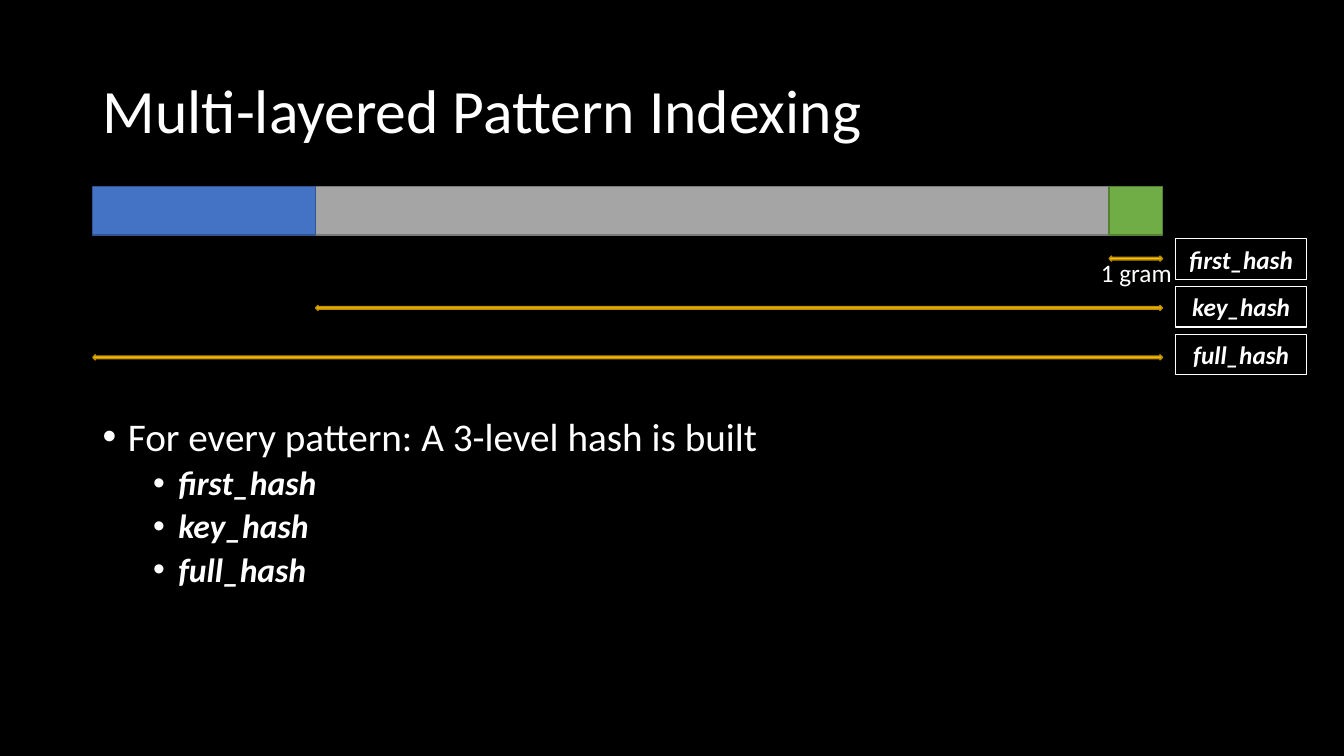
from dataclasses import dataclass

from lxml import etree
from pptx import Presentation
from pptx.dml.color import RGBColor
from pptx.enum.shapes import MSO_SHAPE
from pptx.enum.text import MSO_ANCHOR, PP_ALIGN
from pptx.oxml.ns import qn
from pptx.util import Emu, Pt

RECTANGLE = MSO_SHAPE.RECTANGLE
DOUBLE_ARROW = MSO_SHAPE.LEFT_RIGHT_ARROW
CENTER = PP_ALIGN.CENTER
MIDDLE = MSO_ANCHOR.MIDDLE

PX = 9144  # EMU per px, 100 px to the inch
FONT = "Calibri"
COLORS = {
    "background": "000000", "text": "FFFFFF",
    "gray": "A5A5A5", "gray_edge": "7A7A7A",
    "green": "70AD47", "green_edge": "538035",
    "blue": "4472C4", "blue_edge": "325491",
    "gold": "FFC000", "gold_edge": "BD8E00",
}

MARGIN, CONTENT_WIDTH = 92, 1150
BAR_TOP, BAR_HEIGHT, BAR_RIGHT = 185, 48, 1153
ARROW_TOP, ARROW_STEP, ARROW_HEIGHT = 254, 49, 5
LABEL_LEFT, LABEL_TOP, LABEL_STEP = 1166, 237, 47.5
LABEL_WIDTH, LABEL_HEIGHT = 130, 40


@dataclass(frozen=True)
class Segment:
    left: int
    right: int
    color: str


@dataclass(frozen=True)
class HashSpan:
    name: str
    left: int


@dataclass(frozen=True)
class Bullet:
    text: str
    level: int = 1
    size: int = 24
    space_before: int = 5
    emphasis: bool = True


SEGMENTS = [
    Segment(239, 1100, "gray"),
    Segment(1100, BAR_RIGHT, "green"),
    Segment(MARGIN, 313, "blue"),
]
HASHES = [
    HashSpan("first_hash", 1100),
    HashSpan("key_hash", 313),
    HashSpan("full_hash", MARGIN),
]
BULLETS = [
    Bullet("For every pattern: A 3-level hash is built", 0, 28, 0, False),
    *(Bullet(span.name) for span in HASHES),
]


def px(length: float) -> Emu:
    return Emu(round(length * PX))


def rgb(name: str) -> RGBColor:
    return RGBColor.from_string(COLORS[name])


def style_text(paragraph, size: int, emphasis: bool = False) -> None:
    font = paragraph.font
    font.name, font.size = FONT, Pt(size)
    font.bold = font.italic = emphasis
    font.color.rgb = rgb("text")


def add_box(page, left: float, top: float, width: float, height: float,
            wrap: bool = True):
    """Add a text box and return its text frame."""
    box = page.shapes.add_textbox(px(left), px(top), px(width), px(height))
    box.text_frame.word_wrap = wrap
    return box.text_frame


def add_shape(page, kind, left: float, top: float, width: float, height: float,
              fill: str | None, edge: str, edge_width: float = 1):
    shape = page.shapes.add_shape(kind, px(left), px(top), px(width), px(height))
    shape.shadow.inherit = False
    if fill:
        shape.fill.solid()
        shape.fill.fore_color.rgb = rgb(fill)
    else:
        shape.fill.background()
    shape.line.color.rgb = rgb(edge)
    shape.line.width = Pt(edge_width)
    return shape


def add_title(page) -> None:
    frame = add_box(page, MARGIN, 40, CONTENT_WIDTH, 145)
    frame.vertical_anchor = MIDDLE
    para = frame.paragraphs[0]
    para.text = "Multi-layered Pattern Indexing"
    para.line_spacing = 0.9
    style_text(para, 44)


def add_bullets(page) -> None:
    frame = add_box(page, MARGIN, 409, CONTENT_WIDTH, 266)
    for index, bullet in enumerate(BULLETS):
        para = frame.add_paragraph() if index else frame.paragraphs[0]
        para.text = bullet.text
        para.level = bullet.level
        para.line_spacing = 0.9
        para.space_before = Pt(bullet.space_before)
        properties = para._p.get_or_add_pPr()
        properties.set("marL", str(px(25 + 50 * bullet.level)))
        properties.set("indent", str(px(-25)))
        etree.SubElement(properties, qn("a:buFont"), typeface="Arial")
        etree.SubElement(properties, qn("a:buChar"), char="•")
        style_text(para, bullet.size, bullet.emphasis)


def add_gram_caption(page) -> None:
    frame = add_box(page, 1081, 250, 92, 40, wrap=False)
    para = frame.paragraphs[0]
    para.text = "1 gram"
    para.alignment = CENTER
    style_text(para, 18)


def add_hash_label(page, name: str, row: int) -> None:
    label = add_shape(page, RECTANGLE, LABEL_LEFT, LABEL_TOP + row * LABEL_STEP,
                      LABEL_WIDTH, LABEL_HEIGHT, None, "text", 0.75)
    para = label.text_frame.paragraphs[0]
    para.text = name
    para.alignment = CENTER
    style_text(para, 18, emphasis=True)


def main() -> None:
    deck = Presentation()
    deck.slide_width, deck.slide_height = px(1333), px(750)
    page = deck.slides.add_slide(deck.slide_layouts[6])
    page.background.fill.solid()
    page.background.fill.fore_color.rgb = rgb("background")

    add_title(page)
    add_bullets(page)
    for segment in SEGMENTS:
        add_shape(page, RECTANGLE, segment.left, BAR_TOP,
                  segment.right - segment.left, BAR_HEIGHT,
                  segment.color, f"{segment.color}_edge")
    for row, span in enumerate(HASHES):
        add_shape(page, DOUBLE_ARROW, span.left, ARROW_TOP + row * ARROW_STEP,
                  BAR_RIGHT - span.left, ARROW_HEIGHT, "gold", "gold_edge")
    add_gram_caption(page)
    for row, span in enumerate(HASHES):
        add_hash_label(page, span.name, row)

    deck.save("out.pptx")


if __name__ == "__main__":
    main()
